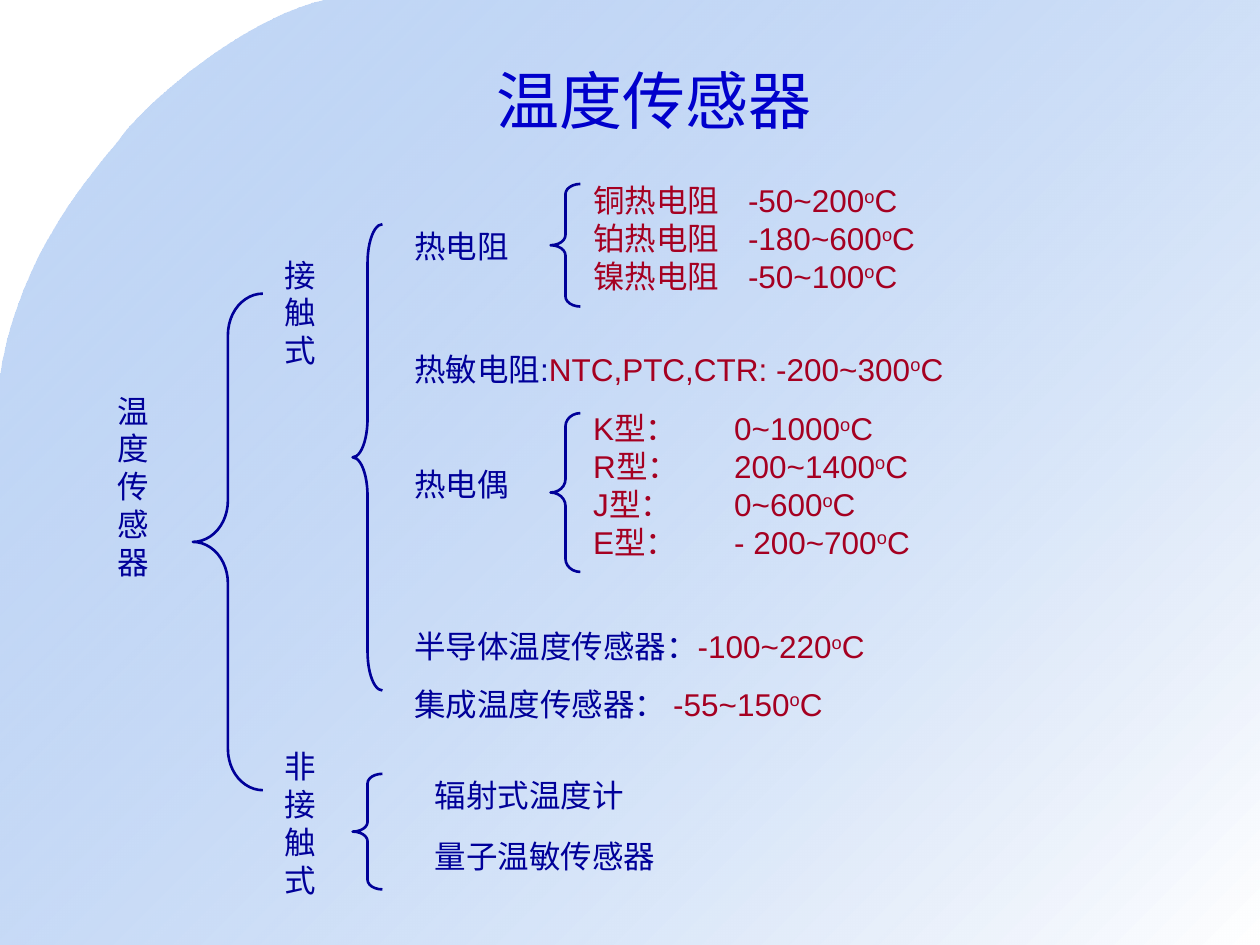
import pptx
import pptx.util
import pptx.dml.color
import pptx.enum.shapes
import pptx.enum.text
import lxml.etree

Cm, Pt = pptx.util.Cm, pptx.util.Pt
RGB = pptx.dml.color.RGBColor
BLUE = RGB(0x00, 0x00, 0xCC)
NAVY = RGB(0x00, 0x00, 0x99)
RED = RGB(0xA5, 0x00, 0x21)
SKY = RGB(0x69, 0x9D, 0xE9)
WHITE = RGB(0xFF, 0xFF, 0xFF)
NS = "{http://schemas.openxmlformats.org/drawingml/2006/main}"

deck = pptx.Presentation()
deck.slide_width, deck.slide_height = Cm(25.4), Cm(19.05)
slide = deck.slides.add_slide(deck.slide_layouts[5])
shapes = slide.shapes


def write(left, top, width, height, rows, color=NAVY, gap=0, tab=None):
    """Each row is a name and a range; a range ends in degrees Celsius."""
    box = shapes.add_textbox(Cm(left), Cm(top), Cm(width), Cm(height))
    frame = box.text_frame
    frame.word_wrap = True
    for i, (name, span) in enumerate(rows):
        para = frame.paragraphs[0] if i == 0 else frame.add_paragraph()
        if tab:
            stops = lxml.etree.SubElement(para._p.get_or_add_pPr(), NS + "tabLst")
            lxml.etree.SubElement(stops, NS + "tab", pos=str(Cm(tab)), algn="l")
        if i:
            para.space_before = Pt(gap)
        parts = [(name, color)]
        if span:
            parts += [(span, RED), ("o", RED), ("C", RED)]
        for j, (text, tint) in enumerate(parts):
            run = para.add_run()
            run.text = text
            run.font.size = Pt(18)
            run.font.name = "Arial"
            run.font.color.rgb = tint
            if j == 2:
                run.font._element.set("baseline", "30000")


# Background with a curved top left corner
curves = [
    ((6.55, 0), (4.83, 0.41), (2.95, 2.11), (2.49, 2.72)),
    ((2.49, 2.72), (2.03, 3.35), (0.41, 4.93), (0, 7.65)),
]
points = []
for a, b, c, d in curves:
    for step in range(1, 21):
        t = step / 20
        s = 1 - t
        points.append([
            Cm(s**3 * a[k] + 3 * s * s * t * b[k] + 3 * s * t * t * c[k] + t**3 * d[k])
            for k in (0, 1)
        ])
points += [(0, Cm(19.05)), (Cm(25.4), Cm(19.05)), (Cm(25.4), 0)]
pen = shapes.build_freeform(Cm(6.55), 0)
pen.add_line_segments(points, close=True)
back = pen.convert_to_shape()
back.shadow.inherit = False
back.line.fill.background()
back.fill.gradient()
back.fill.gradient_angle = 315
for stop, tint, place in zip(back.fill.gradient_stops, (SKY, WHITE), (0, 1)):
    stop.color.rgb = tint
    stop.position = place
first = back._element.xpath(".//a:gs/a:srgbClr")[0]
lxml.etree.SubElement(first, NS + "alpha", val="39000")
shapes._spTree.insert(2, back._element)

# Title
title = shapes.title
title.left, title.top, title.width, title.height = Cm(5.89), Cm(1.12), Cm(14.6), Cm(1.78)
title.text_frame.text = "温度传感器"
title.text_frame.vertical_anchor = pptx.enum.text.MSO_ANCHOR.TOP
head = title.text_frame.paragraphs[0]
head.alignment = pptx.enum.text.PP_ALIGN.CENTER
font = head.runs[0].font
font.size, font.name, font.color.rgb = Pt(36), "Comic Neue", BLUE

# Braces: the curves take a twelfth of the height
for left, top, width, height in [
    (3.89, 5.92, 1.41, 10.01),
    (7.11, 4.52, 0.6, 9.4),
    (7.11, 15.6, 0.6, 2.33),
    (11.1, 3.71, 0.6, 2.47),
    (11.1, 8.33, 0.6, 3.2),
]:
    brace = shapes.add_shape(pptx.enum.shapes.MSO_SHAPE.LEFT_BRACE,
                             Cm(left), Cm(top), Cm(width), Cm(height))
    brace.shadow.inherit = False
    brace.fill.background()
    brace.line.color.rgb = NAVY
    brace.line.width = Pt(1.5)
    brace.adjustments[0] = height / 12 / width

# Root and its two branches, one character per line
write(2.11, 7.77, 1.6, 4.06, [("温度传感器", "")])
write(5.49, 5.03, 1.4, 2.54, [("接触式", "")])
write(5.49, 14.94, 1.4, 3.3, [("非接触式", "")])

# Contact sensors
write(8.1, 4.45, 3, 1.02, [("热电阻", "")])
write(8.1, 6.93, 14.6, 1.02, [("热敏电阻:", "NTC,PTC,CTR: -200~300")])
write(8.1, 9.25, 3, 1.02, [("热电偶", "")])
write(8.1, 12.52, 13.59, 2.18,
      [("半导体温度传感器：", "-100~220"), ("集成温度传感器： ", "-55~150")], gap=11.2)

# Temperature ranges
write(11.71, 3.53, 10.8, 2.54,
      [("铜热电阻\t", "-50~200"), ("铂热电阻\t", "-180~600"), ("镍热电阻\t", "-50~100")],
      color=RED, tab=3.12)
write(11.71, 8.13, 10.8, 3.3,
      [("K型：\t", "0~1000"), ("R型：\t", "200~1400"),
       ("J型：\t", "0~600"), ("E型：\t", "- 200~700")],
      color=RED, tab=2.84)

# Contactless sensors
write(8.51, 15.52, 6.8, 1.02, [("辐射式温度计", "")])
write(8.51, 16.74, 6.8, 1.02, [("量子温敏传感器", "")])

deck.save("out.pptx")
